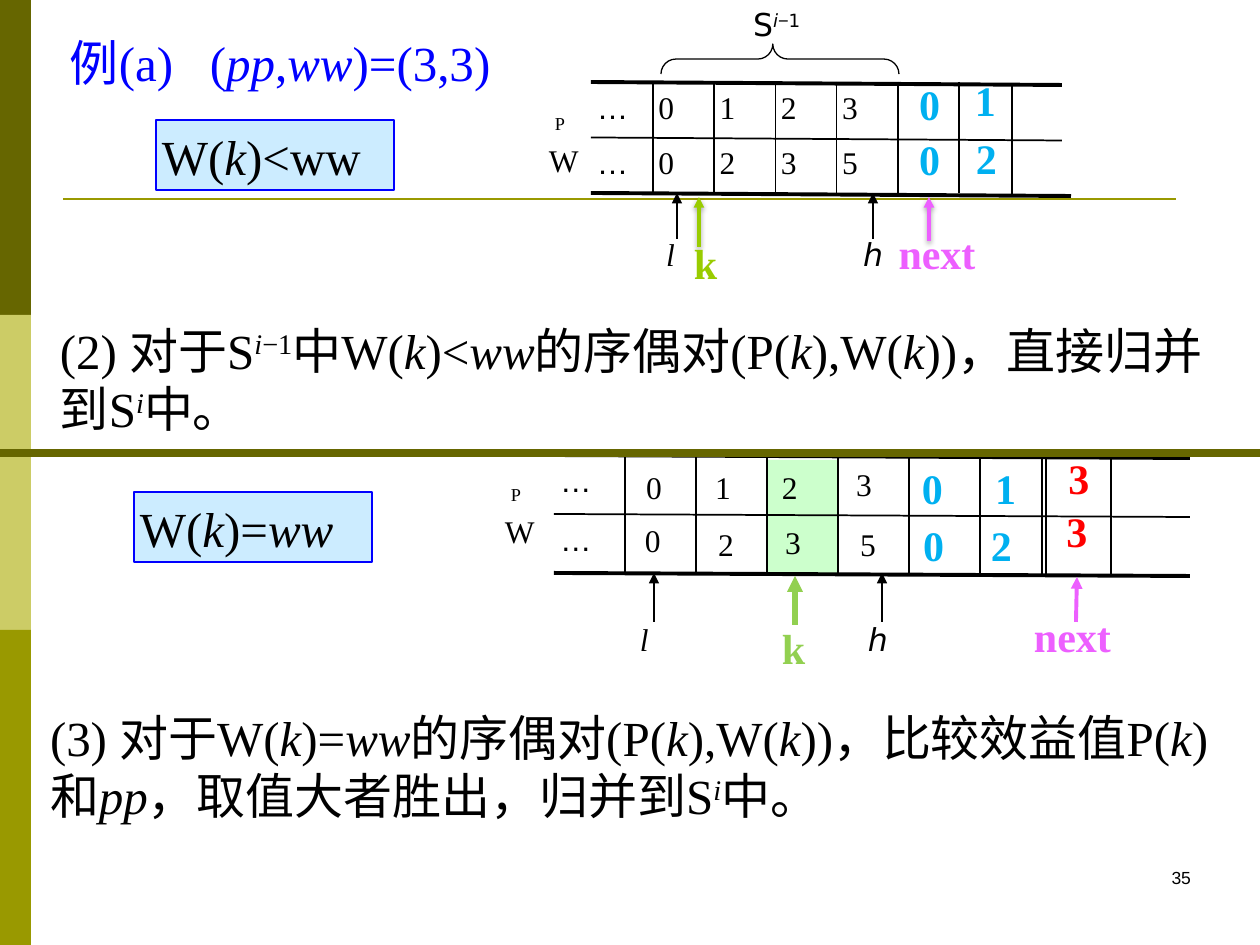
from lxml import etree
from pptx import Presentation
from pptx import util as u
from pptx.dml.color import RGBColor
from pptx.enum import shapes, text
from pptx.oxml.ns import qn

SCALE = 914400 / 126
SERIF, SANS, ARIAL = "Times New Roman", "DejaVu Sans", "Arial"
BLACK, CYAN, PINK, RED = "000000", "00B0F0", "ED5FFF", "FF0000"
LEFT, CENTER, RIGHT = text.PP_ALIGN.LEFT, text.PP_ALIGN.CENTER, text.PP_ALIGN.RIGHT


def px(*values):
    """Turn pixel lengths into EMU."""
    return [u.Emu(round(v * SCALE)) for v in values]


def color(value):
    """Turn a hex string into a colour."""
    return RGBColor.from_string(value)


def add_runs(p, runs, size, ink=BLACK, font=SERIF, bold=False):
    """Fill a paragraph from (text, flags): i italic, ^ raised, _ lowered, d sans, a Arial."""
    for item in runs:
        words, flags = (item, "") if isinstance(item, str) else item
        r = p.add_run()
        r.text = words
        r.font.size = u.Pt(size)
        r.font.name = SANS if "d" in flags else ARIAL if "a" in flags else font
        r.font.bold = bold
        r.font.italic = "i" in flags
        r.font.color.rgb = color(ink)
        if "^" in flags or "_" in flags:
            r._r.get_or_add_rPr().set("baseline", "30000" if "^" in flags else "-25000")


def set_frame(tf, wrap=True, inset=6):
    """Give a text frame equal insets and top anchoring."""
    tf.word_wrap = wrap
    tf.auto_size = text.MSO_AUTO_SIZE.NONE
    tf.vertical_anchor = text.MSO_ANCHOR.TOP
    tf.margin_left, tf.margin_top, tf.margin_right, tf.margin_bottom = px(*[inset] * 4)


def add_text(s, box, runs, size, ink=BLACK, align=LEFT, spacing=None, wrap=True, **style):
    """Add a one-paragraph text box."""
    sp = s.shapes.add_textbox(*px(*box))
    set_frame(sp.text_frame, wrap)
    p = sp.text_frame.paragraphs[0]
    p.alignment = align
    p.line_spacing = spacing
    add_runs(p, runs, size, ink, **style)


def add_mark(s, box, words, ink):
    """Add a bold centred value or pointer name."""
    add_text(s, box, [words], 24, ink, CENTER, 0.8, bold=True)


def add_rect(s, box, fill, line=None):
    """Add a filled rectangle."""
    sp = s.shapes.add_shape(shapes.MSO_SHAPE.RECTANGLE, *px(*box))
    sp.shadow.inherit = False
    sp.fill.solid()
    sp.fill.fore_color.rgb = color(fill)
    if line:
        sp.line.color.rgb = color(line)
        sp.line.width = u.Pt(0.75)
    else:
        sp.line.fill.background()
    return sp


def add_line(s, x1, y1, x2, y2, ink=BLACK, width=1, arrow=False, shadow=False):
    """Add a straight line, with an arrowhead or a soft shadow on request."""
    c = s.shapes.add_connector(shapes.MSO_CONNECTOR.STRAIGHT, *px(x1, y1, x2, y2))
    c.line.color.rgb = color(ink)
    c.line.width = u.Pt(width)
    if arrow:
        etree.SubElement(c.line._get_or_add_ln(), qn("a:tailEnd"), type="triangle")
    effects = etree.SubElement(c._element.spPr, qn("a:effectLst"))
    if shadow:
        outer = etree.SubElement(effects, qn("a:outerShdw"), blurRad="38100", dist="20320",
                                 dir="5400000", rotWithShape="0")
        ink_el = etree.SubElement(outer, qn("a:srgbClr"), val=BLACK)
        etree.SubElement(ink_el, qn("a:alpha"), val="38000")


def add_grid(s, left, rights, top, row, first, step, extras):
    """Draw the slightly slanted rules and the column lines of a pair list."""
    for i, right in enumerate(rights):
        y = top + i * row
        add_line(s, left, y, right, y + 3, width=1 if i == 1 else 2.25)
    for i in range(6):
        x = first + i * step
        add_line(s, x, top, x, top + 2 * row)
    for x in extras:
        add_line(s, x, top + 3, x, top + 2 * row + 3)


def add_row_names(s, box):
    """Add the P and W row names."""
    sp = s.shapes.add_textbox(*px(*box))
    tf = sp.text_frame
    set_frame(tf, inset=5)
    add_runs(tf.paragraphs[0], [(" ", "_d"), ("P", "_")], 18)
    p = tf.add_paragraph()
    p.space_before = u.Pt(4)
    add_runs(p, ["W"], 18)


def add_condition(s, box, runs):
    """Add a light blue box with a condition."""
    sp = add_rect(s, box, "CCECFF", "0000FF")
    set_frame(sp.text_frame)
    p = sp.text_frame.paragraphs[0]
    p.alignment = LEFT
    add_runs(p, runs, 28)


def add_frame(s):
    """Draw the side bars and the rule under the heading."""
    for i, fill in enumerate(["666600", "CCCC66", "999900"]):
        add_rect(s, (0, i * 315, 31, 315), fill)
    add_line(s, 63, 199, 1176, 199, "999900", 1.5)


def add_title(s):
    """Fill the title placeholder."""
    sp = s.shapes.title
    sp.left, sp.top, sp.width, sp.height = px(64, 26, 476, 72)
    set_frame(sp.text_frame)
    p = sp.text_frame.paragraphs[0]
    p.alignment = LEFT
    add_runs(p, ["例(a)   (", ("pp", "i"), ",", ("ww", "i"), ")=(3,3)"], 28, "0000FF")


def add_first_list(s):
    """Draw the upper pair list with its brace and pointers."""
    for y, values in ((82, "…0123"), (137, "…0235")):
        for i, value in enumerate(values):
            add_text(s, (591 + i * 61.3, y, 61, 50), [(value, "a" if value == "…" else "")], 18)
    add_grid(s, 591, (1062, 1062, 1071), 82, 55.5, 653, 61.2, [1012])
    add_row_names(s, (544, 86, 47, 87))
    for box, value in (((900, 82, 59, 62), "0"), ((900, 137, 59, 62), "0"),
                       ((959, 78, 53, 62), "1"), ((960, 136, 53, 62), "2")):
        add_mark(s, box, value, CYAN)
    add_text(s, (660, 229, 34, 48), [("l", "i")], 18)
    add_text(s, (857, 229, 43, 48), [("h", "id")], 18)
    for x in (677, 873):
        add_line(s, x, 239, x, 193, width=1.5, arrow=True)
    add_line(s, 699, 247, 699, 197, "99CC00", 2, True, True)
    add_mark(s, (679, 241, 53, 62), "k", "99CC00")
    add_line(s, 929, 241, 929, 197, PINK, 2, True, True)
    add_mark(s, (876, 231, 122, 62), "next", PINK)
    add_text(s, (747, -1, 79, 54), ["S", ("i", "i^"), ("−", "^a"), ("1", "^")], 18, font=SANS)
    sp = s.shapes.add_shape(shapes.MSO_SHAPE.RIGHT_BRACE, *px(765, -60, 30, 238))
    sp.shadow.inherit = False
    sp.rotation = 270
    sp.adjustments[0], sp.adjustments[1] = 0.5, 0.47
    sp.fill.background()
    sp.line.color.rgb = color(BLACK)
    sp.line.width = u.Pt(0.75)


def add_second_list(s):
    """Draw the lower pair list with its pointers."""
    for y in (460, 514):
        add_rect(s, (767, y, 71, 59), "CCFFCC")
    cells = [(554, 455, "…"), (640, 462, "0"), (709, 462, "1"), (776, 462, "2"), (850, 459, "3"),
             (554, 514, "…"), (639, 515, "0"), (712, 519, "2"), (779, 517, "3"), (854, 519, "5")]
    for x, y, value in cells:
        add_text(s, (x, y, 71, 51), [(value, "a" if value == "…" else "")], 18)
    for x, y, value in ((916, 457, "0"), (989, 457, "1"), (917, 514, "0"), (985, 514, "2")):
        add_text(s, (x, y, 71, 63), [value], 24, CYAN, bold=True)
    add_grid(s, 554, [1190] * 3, 455, 59, 625, 71, [1042, 1046, 1111])
    add_row_names(s, (500, 457, 54, 93))
    add_mark(s, (1047, 456, 64, 62), "3", RED)
    add_mark(s, (1045, 509, 64, 62), "3", RED)
    add_text(s, (634, 614, 40, 52), [("l", "i")], 18)
    add_text(s, (862, 614, 49, 52), [("h", "id")], 18)
    for x in (654, 882):
        add_line(s, x, 622, x, 573, width=1.5, arrow=True)
    add_line(s, 795, 625, 795, 576, "92D050", 3, True)
    add_text(s, (776, 617, 40, 63), ["k"], 24, "92D050", bold=True)
    add_line(s, 1076, 622, 1077, 577, PINK, 2.25, True)
    add_text(s, (1028, 605, 169, 63), ["next"], 24, PINK, bold=True)


def main():
    """Build the slide."""
    prs = Presentation()
    prs.slide_width, prs.slide_height = px(1260, 945)
    s = prs.slides.add_slide(prs.slide_layouts[5])
    k, ww, pp, i = ("k", "i"), ("ww", "i"), ("pp", "i"), ("i", "i^")
    pairs = ["的序偶对(P(", k, "),W(", k]
    add_frame(s)
    add_title(s)
    add_first_list(s)
    add_condition(s, (156, 120, 238, 70), ["W(", k, ")<ww"])
    add_text(s, (54, 314, 1186, 131),
             ["(2) 对于S", i, ("−1", "^"), "中W(", k, ")<", ww, *pairs,
              "))，直接归并到S", i, "中。"], 28)
    add_second_list(s)
    add_condition(s, (134, 492, 238, 70), ["W(", k, ")=", ww])
    add_line(s, 0, 453, 1260, 453, "666600", 4.5)
    add_text(s, (44, 701, 1181, 131),
             ["(3) 对于W(", k, ")=", ww, *pairs, "))，比较效益值P(", k, ")和", pp,
              "，取值大者胜出，归并到S", i, "中。"], 28)
    add_text(s, (1149, 861, 48, 34), ["35"], 10, align=RIGHT, wrap=False, font=ARIAL)
    prs.save("out.pptx")


if __name__ == "__main__":
    main()
